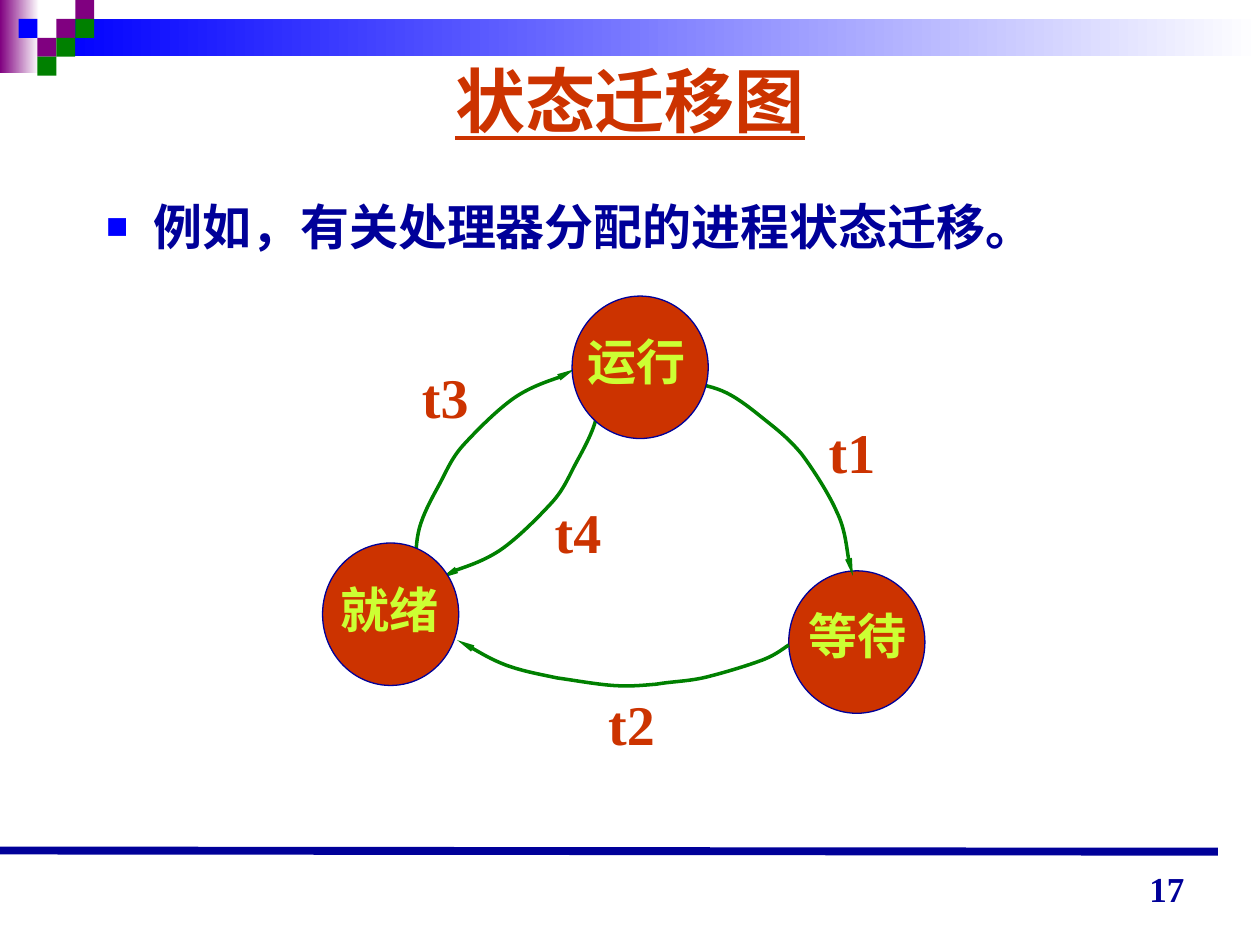
from lxml import etree
from pptx import Presentation
from pptx.dml.color import RGBColor
from pptx.enum.shapes import MSO_CONNECTOR, MSO_SHAPE
from pptx.enum.text import MSO_ANCHOR, MSO_AUTO_SIZE, PP_ALIGN
from pptx.oxml.ns import qn
from pptx.util import Pt

RECT, OVAL = MSO_SHAPE.RECTANGLE, MSO_SHAPE.OVAL
STRAIGHT = MSO_CONNECTOR.STRAIGHT
LEFT, CENTER, RIGHT = PP_ALIGN.LEFT, PP_ALIGN.CENTER, PP_ALIGN.RIGHT
TOP, MIDDLE, BOTTOM = MSO_ANCHOR.TOP, MSO_ANCHOR.MIDDLE, MSO_ANCHOR.BOTTOM
GROW, FIXED = MSO_AUTO_SIZE.SHAPE_TO_FIT_TEXT, MSO_AUTO_SIZE.NONE

COLORS = {"white": "FFFFFF", "purple": "800080", "blue": "0000FF", "green": "008000",
          "navy": "000099", "red": "CC3300", "lime": "CCFF33"}
FONT = "Times New Roman"
FORMATS = {
    "title": {"size": Pt(40), "underline": True, "color": "red"},
    "body": {"size": Pt(28), "color": "navy"},
    "state": {"size": Pt(28), "color": "lime"},
    "event": {"size": Pt(32), "color": "red"},
    "number": {"size": Pt(20), "color": "navy"},
}

CELL = 10.8
# colour, column, row
MOSAIC = [("purple", 2, 1), ("purple", 3, 0), ("green", 3, 1), ("purple", 1, 2),
          ("blue", 0, 1), ("green", 2, 2), ("green", 1, 3)]

# Each curve: a start point, then three points for every cubic segment
T1 = [(208.1, 49), (216, 50.4), (223.9, 51.8), (231.1, 55.4), (238.3, 59), (245.5, 64.8),
      (252.7, 70.6), (259.9, 76.3), (266.4, 81.4), (273.6, 90), (280.1, 98.6),
      (289.4, 113), (293.8, 123.1), (298.8, 133.2), (299.5, 145.4), (301, 151.9),
      (302.4, 157.7), (302.4, 158.4), (303.1, 159.8)]
T2 = [(266.4, 199.4), (262.1, 202.3), (257.8, 205.9), (249.1, 208.8), (241.2, 211.7),
      (226.8, 216), (217.4, 218.2), (207.4, 220.3), (199.4, 220.3), (190.8, 221.8),
      (182.2, 222.5), (175.7, 223.2), (165.6, 222.5), (156.2, 221.8), (144, 219.6),
      (133.9, 218.2), (123.8, 216), (115.2, 214.6), (105.1, 211), (95.8, 207.4),
      (81.4, 198.7), (77, 196.6)]
T3 = [(53.3, 156.2), (53.3, 148.3), (53.3, 140.4), (55.4, 132.5), (57.6, 124.6),
      (61.9, 116.6), (66.2, 108.7), (70.6, 100.8), (73.4, 92.9), (80.6, 85), (88.6, 76.3),
      (100.1, 64.8), (109.4, 58.3), (118.8, 51.8), (130.3, 48.2), (136.1, 46.1),
      (141.8, 43.2), (142.6, 42.5), (144, 41.8)]
# t4 is t3 turned by half a revolution
T4 = [(211.7 - x, 203 - y) for x, y in T3]

# circle position, then label position
STATES = {"等待": ((266.4, 157), (270.7, 173.5)),
          "就绪": ((0, 141.1), (3.4, 158.4)),
          "运行": ((142.6, 0), (144.4, 16.6))}
EVENTS = {"t2": (156.2, 221), "t3": (49.7, 34.6), "t4": (125.6, 111.6), "t1": (282.2, 65.8)}


def rgb(name):
    return RGBColor.from_string(COLORS[name])


def add_text(s, text, box, style, align=LEFT, anchor=TOP, wrap=True):
    tf = s.shapes.add_textbox(*map(Pt, box)).text_frame
    tf.word_wrap, tf.vertical_anchor = wrap, anchor
    tf.auto_size = FIXED if wrap else GROW
    p = tf.paragraphs[0]
    p.alignment = align
    r = p.add_run()
    r.text = text
    r.font.name, r.font.bold = FONT, True
    for key, value in FORMATS[style].items():
        if key == "color":
            r.font.color.rgb = rgb(value)
        else:
            setattr(r.font, key, value)
    return p


def add_block(s, kind, box, color, fade=False, outline=None):
    sp = s.shapes.add_shape(kind, *map(Pt, box))
    sp.shadow.inherit = False
    if fade:
        sp.fill.gradient()
        sp.fill.gradient_angle = 0
        for stop, name in zip(sp.fill.gradient_stops, (color, "white")):
            stop.color.rgb = rgb(name)
    else:
        sp.fill.solid()
        sp.fill.fore_color.rgb = rgb(color)
    if outline:
        sp.line.color.rgb, sp.line.width = rgb(outline), Pt(0.75)
    else:
        sp.line.fill.background()


def add_curve(s, left, top, points):
    """Draw an arrow of cubic segments, with points relative to left and top."""
    pts = [(Pt(left + x), Pt(top + y)) for x, y in points]
    fb = s.shapes.build_freeform(*pts[0])
    fb.add_line_segments(pts[1:], close=False)
    sp = fb.convert_to_shape()
    sp.shadow.inherit = False
    sp.fill.background()
    sp.line.color.rgb, sp.line.width = rgb("green"), Pt(2)
    etree.SubElement(sp.line._get_or_add_ln(), qn("a:tailEnd"),
                     type="triangle", w="sm", len="lg")
    path = sp._element.find(".//" + qn("a:path"))
    lines = path.findall(qn("a:lnTo"))
    for i in range(0, len(lines), 3):
        cubic = etree.SubElement(path, qn("a:cubicBezTo"))
        for line in lines[i:i + 3]:
            cubic.append(line[0])
            path.remove(line)


def add_header(s, left, top, width):
    add_block(s, RECT, (left, top, 22.3, 41.8), "purple", fade=True)
    add_block(s, RECT, (left + 32.4, top + CELL, width - 32.4, 21.4), "blue", fade=True)
    for color, col, row in MOSAIC:
        add_block(s, RECT, (left + 10.6 + col * CELL, top + row * CELL, CELL, CELL), color)


def add_bullet_line(s, text, box):
    p = add_text(s, text, box, "body")
    pPr = p._p.get_or_add_pPr()
    pPr.set("marL", str(Pt(27)))
    pPr.set("indent", str(-Pt(27)))
    color = etree.SubElement(pPr, qn("a:buClr"))
    etree.SubElement(color, qn("a:srgbClr"), val=COLORS["blue"])
    etree.SubElement(pPr, qn("a:buSzPct"), val="75000")
    etree.SubElement(pPr, qn("a:buFont"), typeface=FONT)
    etree.SubElement(pPr, qn("a:buChar"), char="■")


def add_state(s, left, top, name):
    (x, y), (label_x, label_y) = STATES[name]
    add_block(s, OVAL, (left + x, top + y, 77.8, 81.4), "red", outline="navy")
    add_text(s, name, (left + label_x, top + label_y, 71, 41), "state", wrap=False)


def add_diagram(s, left, top):
    add_state(s, left, top, "等待")
    for points in (T1, T3, T4):
        add_curve(s, left, top, points)
    for name in ("就绪", "运行"):
        add_state(s, left, top, name)
    add_curve(s, left, top, T2)
    for name, (x, y) in EVENTS.items():
        add_text(s, name, (left + x, top + y, 41, 46), "event", wrap=False)


def add_footer(s, left, top, number):
    line = s.shapes.add_connector(STRAIGHT, Pt(left), Pt(top), Pt(left + 696), Pt(top + 0.7))
    line.line.color.rgb, line.line.width = rgb("navy"), Pt(4.5)
    etree.SubElement(line._element.spPr, qn("a:effectLst"))
    add_text(s, number, (left + 516.2, top + 1.4, 167.8, 36), "number", RIGHT, BOTTOM)


def main():
    prs = Presentation()
    prs.slide_width, prs.slide_height = Pt(720), Pt(540)
    s = prs.slides.add_slide(prs.slide_layouts[6])
    add_header(s, 0, 0, 720)
    add_text(s, "状态迁移图", (36, 36, 648, 41.8), "title", CENTER, MIDDLE)
    add_bullet_line(s, "例如，有关处理器分配的进程状态迁移。", (53.6, 109, 612, 49.7))
    add_diagram(s, 184.3, 169.2)
    add_footer(s, 0, 486, "17")
    prs.save("out.pptx")


if __name__ == "__main__":
    main()
